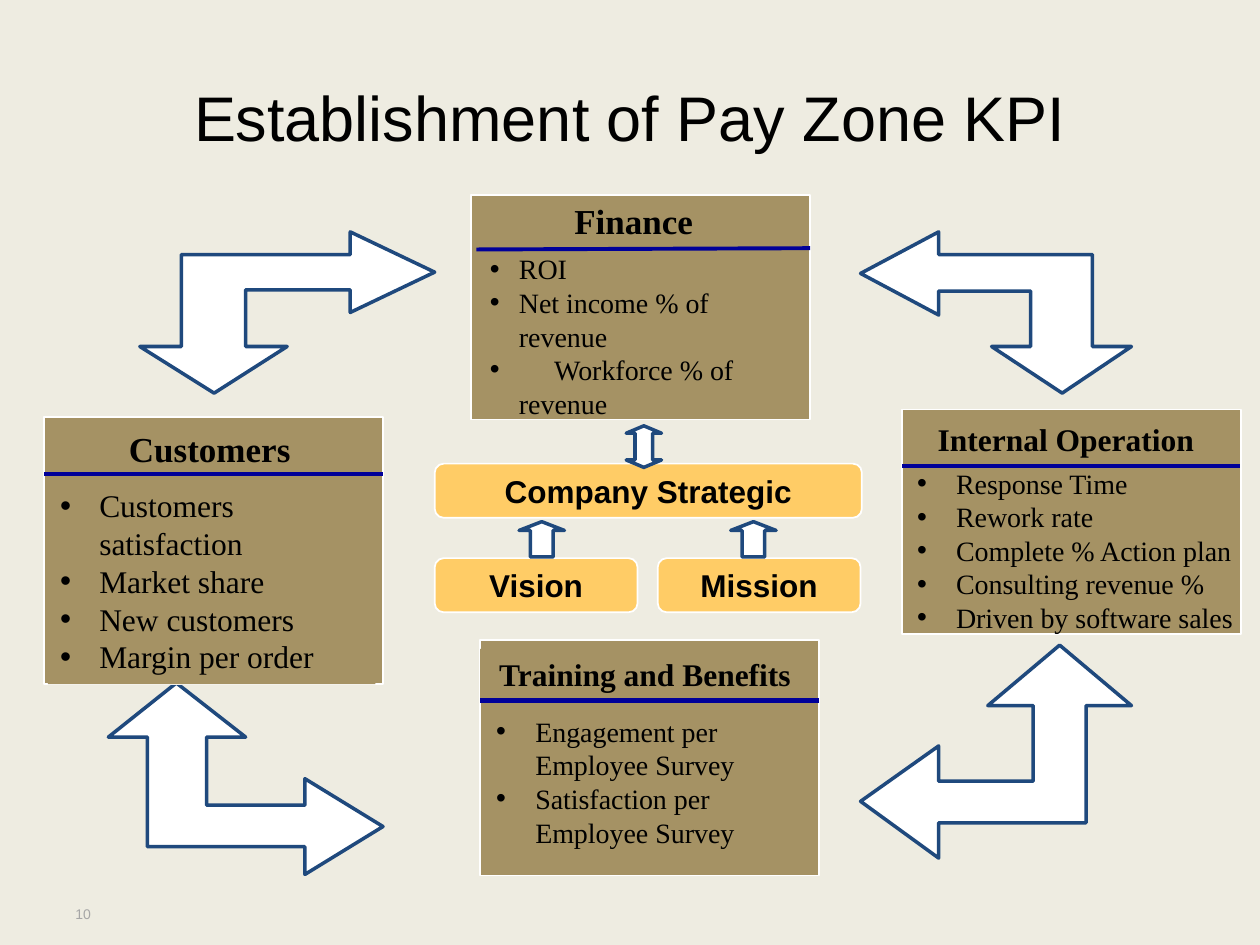
"""Build the KPI slide: four panels around the company strategy."""
import dataclasses
import typing

import lxml.etree
import pptx
import pptx.dml.color
import pptx.enum.shapes
import pptx.enum.text
import pptx.oxml.ns
import pptx.util

Inches = pptx.util.Inches
Shape = pptx.enum.shapes.MSO_SHAPE
Align = pptx.enum.text.PP_ALIGN
Anchor = pptx.enum.text.MSO_ANCHOR
qn = pptx.oxml.ns.qn
Box = tuple[float, float, float, float]
Point = tuple[float, float]

COLORS = {
    "back": "EEECE1", "panel": "A59264", "label": "FFCC66", "white": "FFFFFF",
    "arrow": "1F497D", "rule": "000099", "text": "000000", "page": "A6A6A6",
}
SERIF = "Times New Roman"
SANS = "Arial"


@dataclasses.dataclass
class Panel:
    box: Box
    head: str
    head_box: Box
    head_size: int
    rule: tuple[Point, Point]
    items: list[str]
    body_box: Box
    body_size: int
    hang: float = 0.31
    filled: bool = False
    weight: float = 2.25


@dataclasses.dataclass
class Elbow:
    tip: Point
    base_y: float
    head_in: float
    stem_in: float
    arm_in: float
    base_x: float
    wing_in: float
    end: Point
    wing_out: float
    arm_out: float
    stem_out: float
    head_out: float

    def points(self) -> list[Point]:
        return [
            self.tip, (self.head_in, self.base_y), (self.stem_in, self.base_y),
            (self.stem_in, self.arm_in), (self.base_x, self.arm_in),
            (self.base_x, self.wing_in), self.end, (self.base_x, self.wing_out),
            (self.base_x, self.arm_out), (self.stem_out, self.arm_out),
            (self.stem_out, self.base_y), (self.head_out, self.base_y),
        ]


PANELS = [
    Panel((3.81, 5.08, 2.69, 1.87), "Training and Benefits", (3.81, 5.15, 2.62, 0.4), 18,
          ((3.81, 5.56), (6.5, 5.56)),
          ["Engagement per Employee Survey", "Satisfaction per Employee Survey"],
          (3.84, 5.62, 2.6, 1.18), 16, filled=True, weight=3),
    Panel((3.74, 1.55, 2.69, 1.78), "Finance", (3.9, 1.53, 2.26, 0.44), 20,
          ((3.78, 1.98), (6.43, 1.97)),
          ["ROI", "Net income % of revenue", "\tWorkforce % of revenue"],
          (3.79, 1.95, 2.59, 1.45), 16, hang=0.23),
    Panel((0.35, 3.31, 2.69, 2.12), "Customers", (0.63, 3.34, 2.07, 0.44), 20,
          ((0.35, 3.76), (3.04, 3.76)),
          ["Customers satisfaction", "Market share", "New customers", "Margin per order"],
          (0.38, 3.81, 2.6, 1.62), 18, filled=True),
    Panel((7.16, 3.25, 2.69, 1.78), "Internal Operation", (7.33, 3.28, 2.26, 0.4), 18,
          ((7.16, 3.7), (9.84, 3.7)),
          ["Response Time", "Rework rate", "Complete % Action plan",
           "Consulting revenue %", "Driven by software sales"],
          (7.18, 3.65, 2.74, 1.45), 16),
]
ELBOWS = [
    Elbow((8.43, 3.12), 2.75, 7.87, 8.18, 2.31, 7.45, 2.5, (6.83, 2.17), 1.84, 2.02, 8.67, 8.98),
    Elbow((1.4, 5.42), 5.85, 1.95, 1.64, 6.39, 2.42, 6.18, (3.04, 6.56), 6.94, 6.72, 1.17, 0.86),
    Elbow((8.41, 5.12), 5.6, 7.84, 8.2, 6.2, 7.45, 5.92, (6.83, 6.36), 6.81, 6.53, 8.62, 8.98),
    Elbow((1.7, 3.12), 2.75, 2.28, 1.95, 2.3, 2.78, 2.48, (3.45, 2.16), 1.84, 2.02, 1.44, 1.11),
]
LABELS = [
    ("Vision", (3.45, 4.43, 1.61, 0.43)),
    ("Mission", (5.22, 4.43, 1.61, 0.43)),
    ("Company Strategic", (3.45, 3.68, 3.39, 0.43)),
]
ARROWS = [
    (Shape.UP_ARROW, (4.12, 4.14, 0.36, 0.28), 25000),
    (Shape.UP_ARROW, (5.8, 4.14, 0.36, 0.28), 25000),
    (Shape.UP_DOWN_ARROW, (4.97, 3.38, 0.28, 0.33), 21000),
]


def tint(name: str) -> pptx.dml.color.RGBColor:
    return pptx.dml.color.RGBColor.from_string(COLORS[name])


def paint(shape: typing.Any, fill: str, line: str, width: float) -> None:
    shape.shadow.inherit = False
    shape.fill.solid()
    shape.fill.fore_color.rgb = tint(fill)
    shape.line.color.rgb = tint(line)
    shape.line.width = pptx.util.Pt(width)


def draw(slide: typing.Any, kind: Shape, box: Box, fill: str, line: str, width: float) -> typing.Any:
    shape = slide.shapes.add_shape(kind, *map(Inches, box))
    paint(shape, fill, line, width)
    return shape


def write(para: typing.Any, text: str, size: int, font: str, color: str = "text",
          bold: bool = False, align: Align = Align.CENTER) -> None:
    para.alignment = align
    run = para.add_run()
    run.text = text
    run.font.size = pptx.util.Pt(size)
    run.font.name = font
    run.font.bold = bold
    run.font.color.rgb = tint(color)


def add_text(slide: typing.Any, box: Box, anchor: Anchor, fill: str = "") -> typing.Any:
    area = slide.shapes.add_textbox(*map(Inches, box))
    if fill:
        area.fill.solid()
        area.fill.fore_color.rgb = tint(fill)
    area.text_frame.word_wrap = True
    area.text_frame.vertical_anchor = anchor
    return area.text_frame


def add_bullet(para: typing.Any, hang: float, tab: bool) -> None:
    props = para._p.get_or_add_pPr()
    props.set("marL", str(Inches(hang)))
    props.set("indent", str(-Inches(hang)))
    lxml.etree.SubElement(props, qn("a:buFont"), typeface=SANS)
    lxml.etree.SubElement(props, qn("a:buChar"), char="•")
    if tab:
        tabs = lxml.etree.SubElement(props, qn("a:tabLst"))
        lxml.etree.SubElement(tabs, qn("a:tab"), pos=str(Inches(hang + 0.28)), algn="l")


def add_rule(slide: typing.Any, ends: tuple[Point, Point], weight: float) -> None:
    start, stop = ends
    rule = slide.shapes.add_connector(pptx.enum.shapes.MSO_CONNECTOR.STRAIGHT,
                                      *map(Inches, start + stop))
    rule.line.color.rgb = tint("rule")
    rule.line.width = pptx.util.Pt(weight)
    lxml.etree.SubElement(rule._element.spPr, qn("a:effectLst"))


def add_panel(slide: typing.Any, panel: Panel) -> None:
    draw(slide, Shape.RECTANGLE, panel.box, "panel", "white", 1)
    fill = "panel" if panel.filled else ""
    head = add_text(slide, panel.head_box, Anchor.MIDDLE, fill)
    write(head.paragraphs[0], panel.head, panel.head_size, SERIF, bold=True)
    body = add_text(slide, panel.body_box, Anchor.TOP, fill)
    for place, item in enumerate(panel.items):
        para = body.add_paragraph() if place else body.paragraphs[0]
        write(para, item, panel.body_size, SERIF, align=Align.LEFT)
        add_bullet(para, panel.hang, item.startswith("\t"))
    add_rule(slide, panel.rule, panel.weight)


def add_elbow(slide: typing.Any, elbow: Elbow) -> None:
    first, *rest = [(Inches(x), Inches(y)) for x, y in elbow.points()]
    pen = slide.shapes.build_freeform(*first)
    pen.add_line_segments(rest, close=True)
    paint(pen.convert_to_shape(), "white", "arrow", 2)


def add_arrow(slide: typing.Any, kind: Shape, box: Box, head: int) -> None:
    arrow = draw(slide, kind, box, "white", "arrow", 2)
    guides = arrow._element.spPr.find(qn("a:prstGeom")).find(qn("a:avLst"))
    for guide in list(guides):
        guides.remove(guide)
    for name, value in (("adj1", 50000), ("adj2", head)):
        lxml.etree.SubElement(guides, qn("a:gd"), name=name, fmla=f"val {value}")


def add_label(slide: typing.Any, text: str, box: Box) -> None:
    shape = draw(slide, Shape.FLOWCHART_ALTERNATE_PROCESS, box, "label", "white", 1)
    shape.text_frame.word_wrap = False
    shape.text_frame.vertical_anchor = Anchor.MIDDLE
    write(shape.text_frame.paragraphs[0], text, 18, SANS, bold=True)


def main() -> None:
    deck = pptx.Presentation()
    deck.slide_width, deck.slide_height = Inches(10), Inches(7.5)
    slide = deck.slides.add_slide(deck.slide_layouts[5])
    slide.background.fill.solid()
    slide.background.fill.fore_color.rgb = tint("back")
    title = slide.shapes.title
    title.left, title.top, title.width, title.height = map(Inches, (0.5, 0.57, 9, 0.71))
    write(title.text_frame.paragraphs[0], "Establishment of Pay Zone KPI", 36, SANS)
    page = add_text(slide, (0.5, 7.14, 0.42, 0.22), Anchor.MIDDLE)
    write(page.paragraphs[0], "10", 8, SANS, "page", align=Align.LEFT)
    for elbow in ELBOWS:
        add_elbow(slide, elbow)
    for panel in PANELS:
        add_panel(slide, panel)
    for label in LABELS:
        add_label(slide, *label)
    for arrow in ARROWS:
        add_arrow(slide, *arrow)
    deck.save("out.pptx")


if __name__ == "__main__":
    main()
